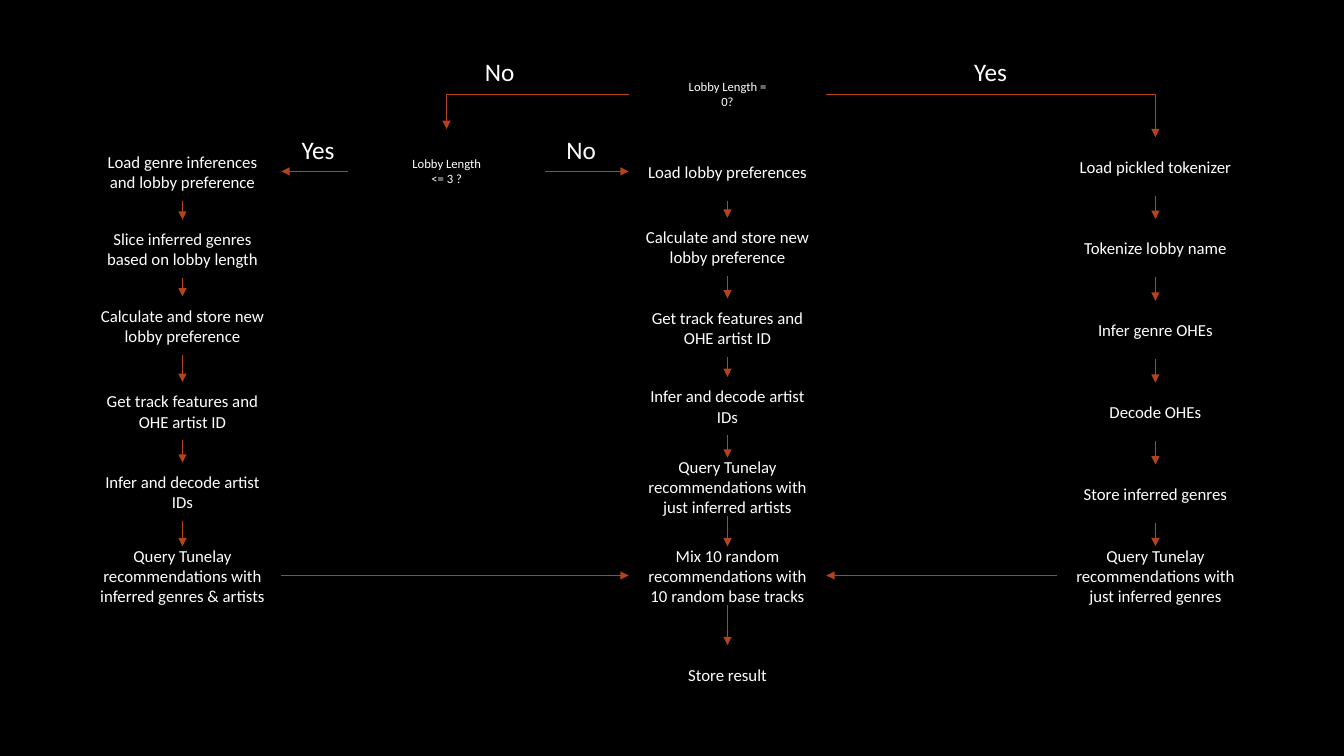
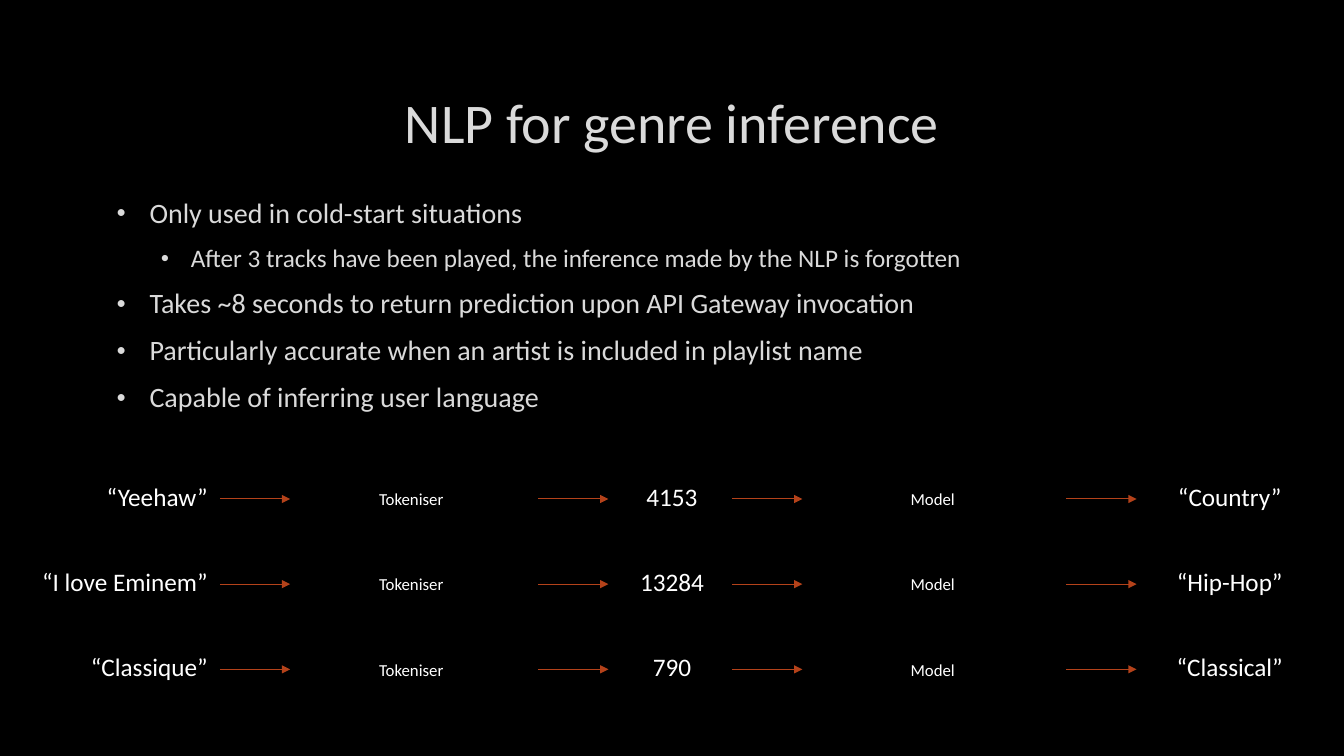
from dataclasses import dataclass
from itertools import pairwise

from lxml import etree
from pptx import Presentation
from pptx.dml.color import RGBColor
from pptx.enum.shapes import MSO_CONNECTOR, MSO_SHAPE
from pptx.enum.text import MSO_ANCHOR, PP_ALIGN
from pptx.oxml.ns import qn
from pptx.util import Inches, Pt

RECTANGLE = MSO_SHAPE.RECTANGLE
DECISION = MSO_SHAPE.FLOWCHART_DECISION
STRAIGHT, ELBOW = MSO_CONNECTOR.STRAIGHT, MSO_CONNECTOR.ELBOW
LEFT, CENTER, RIGHT = PP_ALIGN.LEFT, PP_ALIGN.CENTER, PP_ALIGN.RIGHT
TOP, MIDDLE = MSO_ANCHOR.TOP, MSO_ANCHOR.MIDDLE
SITE_TOP, SITE_LEFT, SITE_BOTTOM, SITE_RIGHT = range(4)


@dataclass(frozen=True)
class Theme:
    font: str = "Calibri"
    background: str = "000000"
    box_fill: str = "000000"
    box_alpha: int = 50
    white: str = "FFFFFF"
    soft: str = "DADADA"
    accent: str = "B4421A"
    line_width: float = 0.75
    title_size: int = 40
    bullet_sizes: tuple = (20, 18)
    bullet_indents: tuple = ((0.38, -0.33), (0.79, -0.3))
    label_size: int = 18
    box_size: int = 12
    decision_size: int = 9


class Deck:
    """Places elements by centre and size, in percent of the slide."""

    BOX = (14.7, 7.73)
    DIAMOND = (14.7, 11.2)
    LABEL_HEIGHT = 5.33

    def __init__(self, theme):
        self.theme = theme
        self.prs = Presentation()
        self.prs.slide_width, self.prs.slide_height = Inches(13.33), Inches(7.5)
        self.slide = None

    def new_slide(self):
        self.slide = self.prs.slides.add_slide(self.prs.slide_layouts[6])
        fill = self.slide.background.fill
        fill.solid()
        fill.fore_color.rgb = RGBColor.from_string(self.theme.background)

    def x(self, share):
        return round(self.prs.slide_width * share / 100)

    def y(self, share):
        return round(self.prs.slide_height * share / 100)

    def frame(self, center, size):
        (cx, cy), (w, h) = center, size
        return self.x(cx - w / 2), self.y(cy - h / 2), self.x(w), self.y(h)

    def add_text(self, paragraph, text, size, color, align):
        paragraph.alignment = align
        run = paragraph.add_run()
        run.text = text
        run.font.name = self.theme.font
        run.font.size = Pt(size)
        run.font.color.rgb = RGBColor.from_string(color)

    def text_frame(self, center, size, anchor=MIDDLE):
        frame = self.slide.shapes.add_textbox(*self.frame(center, size)).text_frame
        frame.word_wrap = True
        frame.vertical_anchor = anchor
        return frame

    def title(self, text):
        frame = self.text_frame((50, 16), (84.92, 14.13))
        self.add_text(frame.paragraphs[0], text, self.theme.title_size, self.theme.soft, CENTER)

    def label(self, text, center, width=6.83, align=CENTER):
        frame = self.text_frame(center, (width, self.LABEL_HEIGHT))
        self.add_text(frame.paragraphs[0], text, self.theme.label_size, self.theme.white, align)

    def bullets(self, items, center, size):
        frame = self.text_frame(center, size, TOP)
        for i, (level, text) in enumerate(items):
            paragraph = frame.add_paragraph() if i else frame.paragraphs[0]
            paragraph.level = level
            paragraph.space_before, paragraph.space_after = Pt(3.5), Pt(6)
            self.add_text(paragraph, text, self.theme.bullet_sizes[level], self.theme.soft, LEFT)
            self.bullet_mark(paragraph, level)

    def bullet_mark(self, paragraph, level):
        props = paragraph._p.get_or_add_pPr()
        margin, indent = self.theme.bullet_indents[level]
        props.set("marL", str(Inches(margin)))
        props.set("indent", str(Inches(indent)))
        color = etree.SubElement(props, qn("a:buClr"))
        etree.SubElement(color, qn("a:srgbClr"), val=self.theme.soft)
        etree.SubElement(props, qn("a:buSzPct"), val="70000")
        etree.SubElement(props, qn("a:buFont"), typeface=self.theme.font)
        etree.SubElement(props, qn("a:buChar"), char="•")

    def node(self, text, center, kind, size, type_size):
        shape = self.slide.shapes.add_shape(kind, *self.frame(center, size))
        shape.shadow.inherit = False
        shape.fill.solid()
        shape.fill.fore_color.rgb = RGBColor.from_string(self.theme.box_fill)
        fill_color = shape.element.spPr.find(qn("a:solidFill"))[0]
        etree.SubElement(fill_color, qn("a:alpha"), val=str(self.theme.box_alpha * 1000))
        shape.line.fill.background()
        shape.text_frame.word_wrap = True
        shape.text_frame.vertical_anchor = MIDDLE
        self.add_text(shape.text_frame.paragraphs[0], text, type_size, self.theme.white, CENTER)
        return shape

    def box(self, text, center):
        return self.node(text, center, RECTANGLE, self.BOX, self.theme.box_size)

    def decision(self, text, center):
        return self.node(text, center, DECISION, self.DIAMOND, self.theme.decision_size)

    def arrow(self, start=(0, 0), end=(0, 0), kind=STRAIGHT):
        (x1, y1), (x2, y2) = start, end
        line = self.slide.shapes.add_connector(
            kind, self.x(x1), self.y(y1), self.x(x2), self.y(y2))
        line.line.color.rgb = RGBColor.from_string(self.theme.accent)
        line.line.width = Pt(self.theme.line_width)
        props = line.element.spPr
        etree.SubElement(props.find(qn("a:ln")), qn("a:tailEnd"), type="triangle")
        etree.SubElement(props, qn("a:effectLst"))
        return line

    def join(self, source, source_site, target, target_site, kind=STRAIGHT):
        line = self.arrow(kind=kind)
        line.begin_connect(source, source_site)
        line.end_connect(target, target_site)
        if kind == ELBOW:  # a single corner
            line.element.spPr.find(qn("a:prstGeom")).set("prst", "bentConnector2")

    def chain(self, center_x, rows, steps):
        boxes = [self.box(text, (center_x, row)) for row, text in zip(rows, steps)]
        for upper, lower in pairwise(boxes):
            self.join(upper, SITE_BOTTOM, lower, SITE_TOP)
        return boxes


def flow_slide(deck):
    deck.new_slide()
    merge_row = 76.13
    first_row = 22.67

    # Decisions
    lobby_empty = deck.decision("Lobby Length = 0?", (54.13, 12.47))
    lobby_short = deck.decision("Lobby Length <= 3 ?", (33.23, first_row))

    # Three processing chains
    short_chain = deck.chain(13.58, (first_row, 32.93, 43.07, 54.4, 65.07, merge_row), (
        "Load genre inferences and lobby preference",
        "Slice inferred genres based on lobby length",
        "Calculate and store new lobby preference",
        "Get track features and OHE artist ID",
        "Infer and decode artist IDs",
        "Query Tunelay recommendations with inferred genres & artists",
    ))
    long_chain = deck.chain(54.13, (first_row, 32.67, 43.33, 53.73, 64.4, merge_row, 89.2), (
        "Load lobby preferences",
        "Calculate and store new lobby preference",
        "Get track features and OHE artist ID",
        "Infer and decode artist IDs",
        "Query Tunelay recommendations with just inferred artists",
        "Mix 10 random recommendations with 10 random base tracks",
        "Store result",
    ))
    empty_steps = (
        "Load pickled tokenizer",
        "Tokenize lobby name",
        "Infer genre OHEs",
        "Decode OHEs",
        "Store inferred genres",
        "Query Tunelay recommendations with just inferred genres",
    )
    empty_top = 22
    step = (merge_row - empty_top) / (len(empty_steps) - 1)
    empty_rows = [empty_top + i * step for i in range(len(empty_steps))]
    empty_chain = deck.chain(85.97, empty_rows, empty_steps)

    # Branches and merges
    mix = long_chain[-2]
    deck.join(lobby_empty, SITE_RIGHT, empty_chain[0], SITE_TOP, ELBOW)
    deck.join(lobby_empty, SITE_LEFT, lobby_short, SITE_TOP, ELBOW)
    deck.join(lobby_short, SITE_LEFT, short_chain[0], SITE_RIGHT)
    deck.join(lobby_short, SITE_RIGHT, long_chain[0], SITE_LEFT)
    deck.join(short_chain[-1], SITE_RIGHT, mix, SITE_LEFT)
    deck.join(empty_chain[-1], SITE_LEFT, mix, SITE_RIGHT)

    # Branch answers
    for answer, center in (("No", (37.17, 9.47)), ("Yes", (73.7, 9.47)),
                           ("Yes", (23.67, 19.73)), ("No", (43.25, 19.73))):
        deck.label(answer, center)


def inference_slide(deck):
    deck.new_slide()
    deck.title("NLP for genre inference")
    deck.bullets((
        (0, "Only used in cold-start situations"),
        (1, "After 3 tracks have been played, the inference made by the NLP is forgotten"),
        (0, "Takes ~8 seconds to return prediction upon API Gateway invocation"),
        (0, "Particularly accurate when an artist is included in playlist name"),
        (0, "Capable of inferring user language"),
    ), (50, 54.8), (84.92, 59.2))

    # Examples: name, tokeniser, token, model, genre
    examples = (
        ("“Yeehaw”", "4153", "“Country”"),
        ("“I love Eminem”", "13284", "“Hip-Hop”"),
        ("“Classique”", "790", "“Classical”"),
    )
    arrow_starts, arrow_length = (16.37, 40.05, 54.48, 79.35), 5.22
    for i, (name, token, genre) in enumerate(examples):
        row = 66 + i * 11.27
        label_row = row - 0.4
        deck.label(name, (8.51, label_row), 15.38, RIGHT)
        deck.box("Tokeniser", (30.6, row))
        deck.label(token, (50, label_row), 10.43)
        deck.box("Model", (69.4, row))
        deck.label(genre, (91.5, label_row), 10.43)
        for start in arrow_starts:
            deck.arrow((start, row), (start + arrow_length, row))


def main():
    deck = Deck(Theme())
    flow_slide(deck)
    inference_slide(deck)
    deck.prs.save("out.pptx")


if __name__ == "__main__":
    main()
